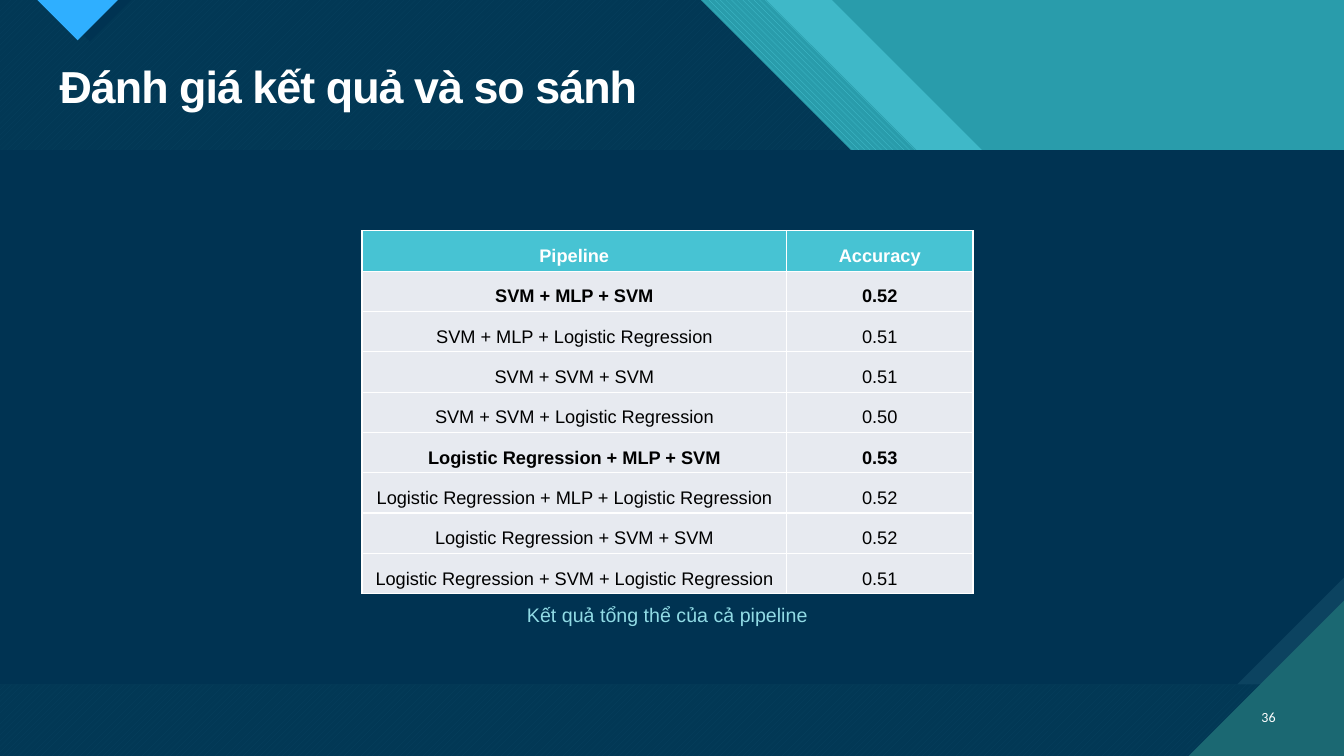
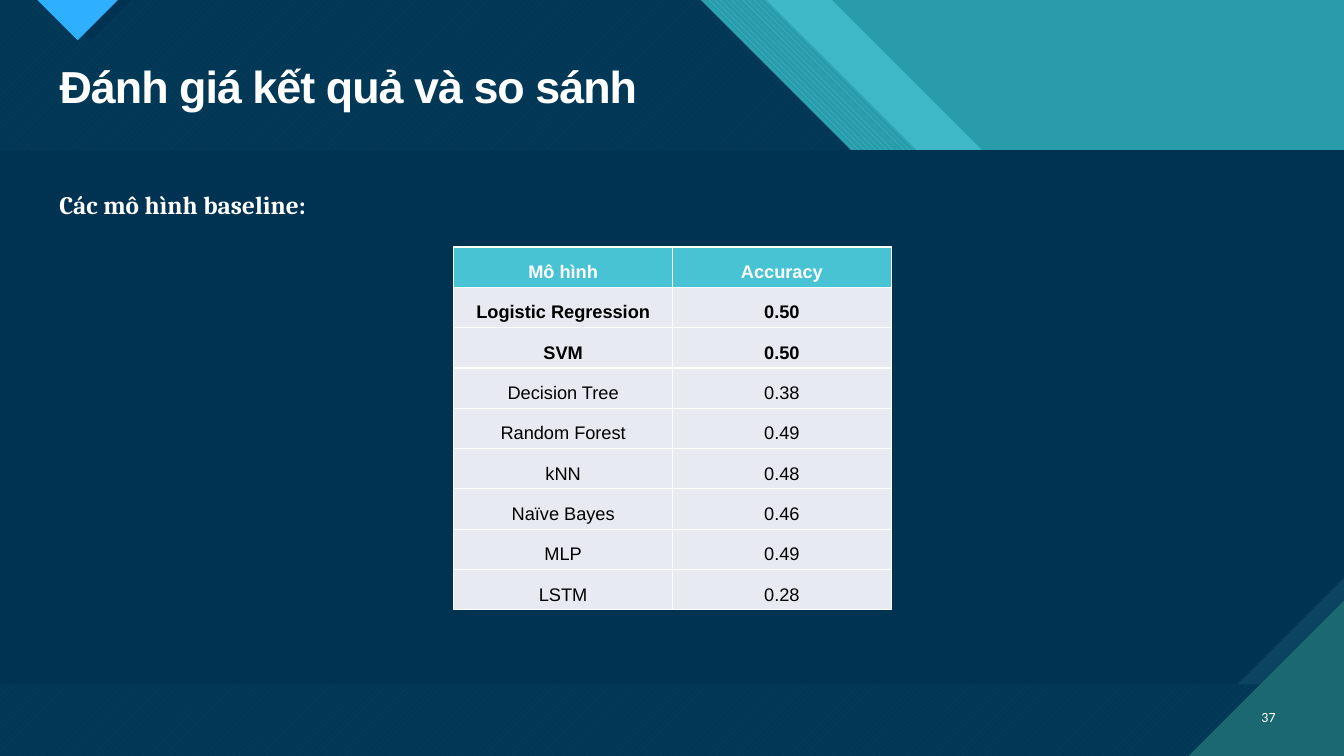
from dataclasses import dataclass

from lxml import etree
from pptx import Presentation
from pptx.dml.color import RGBColor
from pptx.enum import dml, shapes, text
from pptx.oxml import ns
from pptx.util import Inches, Pt


@dataclass(frozen=True)
class Theme:
    navy: str = "003352"
    slate: str = "0C4360"
    teal: str = "299CAB"
    aqua: str = "47C3D3"
    pine: str = "1B6872"
    blue: str = "2FAFFF"
    white: str = "FFFFFF"
    black: str = "000000"
    mist: str = "E7EAF0"
    sky: str = "91DBE5"
    sans: str = "Arial"
    serif: str = "Cambria"
    number_font: str = "Calibri"
    title_size: int = 32
    lead_size: int = 18
    caption_size: int = 14
    table_size: int = 13
    number_size: int = 10


THEME = Theme()
WIDTH, HEIGHT = 13.33, 7.5
HEADER_HEIGHT, PANEL_HEIGHT = 1.49, 5.3
TITLE_BOX = (0.49, 0.59, 12.26, 0.59)
NUMBER_BOX = (12.31, 6.91, 0.44, 0.4)
ROW_HEIGHT = 0.4
TITLE = "Đánh giá kết quả và so sánh"

PIPELINES = [
    ("Pipeline", "Accuracy"),
    ("SVM + MLP + SVM", "0.52"),
    ("SVM + MLP + Logistic Regression", "0.51"),
    ("SVM + SVM + SVM", "0.51"),
    ("SVM + SVM + Logistic Regression", "0.50"),
    ("Logistic Regression + MLP + SVM", "0.53"),
    ("Logistic Regression + MLP + Logistic Regression", "0.52"),
    ("Logistic Regression + SVM + SVM", "0.52"),
    ("Logistic Regression + SVM + Logistic Regression", "0.51"),
]
BASELINES = [
    ("Mô hình", "Accuracy"),
    ("Logistic Regression", "0.50"),
    ("SVM", "0.50"),
    ("Decision Tree", "0.38"),
    ("Random Forest", "0.49"),
    ("kNN", "0.48"),
    ("Naïve Bayes", "0.46"),
    ("MLP", "0.49"),
    ("LSTM", "0.28"),
]


def rgb(color):
    return RGBColor.from_string(color)


def paint(shape, color, alpha=None):
    shape.shadow.inherit = False
    shape.line.fill.background()
    shape.fill.solid()
    shape.fill.fore_color.rgb = rgb(color)
    if alpha:
        tint = shape.element.spPr.find(".//" + ns.qn("a:srgbClr"))
        etree.SubElement(tint, ns.qn("a:alpha"), val=str(alpha * 1000))
    return shape


def hatch(shape, pattern, front, back):
    paint(shape, front)
    shape.fill.patterned()
    shape.fill.pattern = pattern
    shape.fill.fore_color.rgb = rgb(front)
    shape.fill.back_color.rgb = rgb(back)
    return shape


def add_polygon(page, points):
    (left, top), *rest = [(Inches(x), Inches(y)) for x, y in points]
    outline = page.shapes.build_freeform(left, top)
    outline.add_line_segments(rest, close=True)
    return outline.convert_to_shape()


def add_diagonal_field(page, edge):
    reach = WIDTH - edge
    return add_polygon(page, [(0, 0), (edge, 0), (WIDTH, reach), (WIDTH, HEIGHT), (0, HEIGHT)])


def add_tab(page, left, size):
    return add_polygon(page, [(left, 0), (left + 2 * size, 0), (left + size, size)])


def add_panel(page, kind):
    return page.shapes.add_shape(
        kind, 0, Inches(HEADER_HEIGHT), Inches(WIDTH), Inches(PANEL_HEIGHT)
    )


def draw_backdrop(page):
    pattern = dml.MSO_PATTERN
    kinds = shapes.MSO_SHAPE
    parts = [
        paint(add_diagonal_field(page, 8.25), THEME.aqua, 74),
        hatch(add_diagonal_field(page, 7.6), pattern.WIDE_DOWNWARD_DIAGONAL, THEME.aqua, THEME.teal),
        hatch(add_diagonal_field(page, 6.95), pattern.WIDE_UPWARD_DIAGONAL, THEME.aqua, THEME.pine),
        paint(add_diagonal_field(page, 6.95), THEME.navy, 90),
        paint(add_tab(page, 0.48, 0.41), THEME.navy),
        paint(add_tab(page, 0.37, 0.4), THEME.blue),
        paint(add_panel(page, kinds.RECTANGLE), THEME.slate),
    ]
    panel = paint(add_panel(page, kinds.SNIP_1_RECTANGLE), THEME.navy)
    panel.adjustments[0] = 0.2
    panel.element.spPr.xfrm.set("flipV", "1")
    corner = add_polygon(page, [(11.79, HEIGHT), (WIDTH, HEIGHT), (WIDTH, 5.96)])
    return parts + [panel, paint(corner, THEME.pine)]


def share_backdrop(layout, page):
    layout.background.fill.solid()
    layout.background.fill.fore_color.rgb = rgb(THEME.teal)
    for order, part in enumerate(draw_backdrop(page)):
        part.element.nvSpPr.cNvPr.set("id", str(100 + order))
        layout.shapes.element.insert(2 + order, part.element)


def add_span(para, words, size, color, font=THEME.sans, bold=False):
    span = para.add_run()
    span.text = words
    span.font.size = Pt(size)
    span.font.name = font
    span.font.bold = bold
    span.font.color.rgb = rgb(color)
    return span


def place_title(page, box):
    title = page.shapes.title
    title.left, title.top, title.width, title.height = map(Inches, box)
    frame = title.text_frame
    frame.word_wrap = True
    frame.vertical_anchor = text.MSO_ANCHOR.TOP
    para = frame.paragraphs[0]
    para.alignment = text.PP_ALIGN.LEFT
    para.line_spacing = 0.9
    span = add_span(para, TITLE, THEME.title_size, THEME.white, bold=True)
    span.font._element.set("spc", "-70")


def add_text(page, box, words, size, color, align, **style):
    frame = page.shapes.add_textbox(*map(Inches, box)).text_frame
    frame.word_wrap = True
    para = frame.paragraphs[0]
    para.alignment = align
    add_span(para, words, size, color, **style)
    return frame


def add_note(page, box, words, size, color, align, **style):
    para = add_text(page, box, words, size, color, align, **style).paragraphs[0]
    para.line_spacing = 1.07
    para.space_after = Pt(8)


def add_number(page, box, number):
    frame = add_text(
        page, box, str(number), THEME.number_size, THEME.white,
        text.PP_ALIGN.RIGHT, font=THEME.number_font,
    )
    frame.vertical_anchor = text.MSO_ANCHOR.MIDDLE


def add_borders(cell):
    properties = cell._tc.get_or_add_tcPr()
    for order, side in enumerate(("a:lnL", "a:lnR", "a:lnT", "a:lnB")):
        line = etree.Element(ns.qn(side), w=str(Pt(1)))
        fill = etree.SubElement(line, ns.qn("a:solidFill"))
        etree.SubElement(fill, ns.qn("a:srgbClr"), val=THEME.white)
        properties.insert(order, line)


def fill_cell(cell, words, heading, strong):
    cell.margin_left = cell.margin_right = Inches(0.07)
    cell.margin_top = Inches(0.05)
    cell.margin_bottom = Inches(0.02)
    cell.fill.solid()
    cell.fill.fore_color.rgb = rgb(THEME.aqua if heading else THEME.mist)
    add_borders(cell)
    para = cell.text_frame.paragraphs[0]
    para.alignment = text.PP_ALIGN.CENTER
    para.line_spacing = 1.5
    color = THEME.white if heading else THEME.black
    add_span(para, words, THEME.table_size, color, bold=heading or strong)


def add_scores(page, left, top, widths, rows, best):
    table = page.shapes.add_table(
        len(rows), len(widths), Inches(left), Inches(top),
        Inches(sum(widths)), Inches(ROW_HEIGHT * len(rows)),
    ).table
    for column, width in zip(table.columns, widths):
        column.width = Inches(width)
    for index, values in enumerate(rows):
        table.rows[index].height = Inches(ROW_HEIGHT)
        for column, words in enumerate(values):
            fill_cell(table.cell(index, column), words, index == 0, index in best)


def add_page(deck, layout, number):
    page = deck.slides.add_slide(layout)
    place_title(page, TITLE_BOX)
    add_number(page, NUMBER_BOX, number)
    return page


def build_pipeline_page(deck, layout):
    page = add_page(deck, layout, 36)
    add_scores(page, 3.59, 2.29, (4.21, 1.85), PIPELINES, best=(1, 5))
    add_note(
        page, (0.78, 5.92, 11.68, 0.33), "Kết quả tổng thể của cả pipeline",
        THEME.caption_size, THEME.sky, text.PP_ALIGN.CENTER,
    )
    return page


def build_baseline_page(deck, layout):
    page = add_page(deck, layout, 37)
    add_scores(page, 4.5, 2.45, (2.17, 2.17), BASELINES, best=(1, 2))
    add_note(
        page, (0.49, 1.81, 6.67, 0.41), "Các mô hình baseline:",
        THEME.lead_size, THEME.white, text.PP_ALIGN.LEFT, font=THEME.serif, bold=True,
    )


def main():
    deck = Presentation()
    deck.slide_width, deck.slide_height = Inches(WIDTH), Inches(HEIGHT)
    layout = deck.slide_layouts.get_by_name("Title Only")
    page = build_pipeline_page(deck, layout)
    share_backdrop(layout, page)
    build_baseline_page(deck, layout)
    deck.save("out.pptx")


if __name__ == "__main__":
    main()
